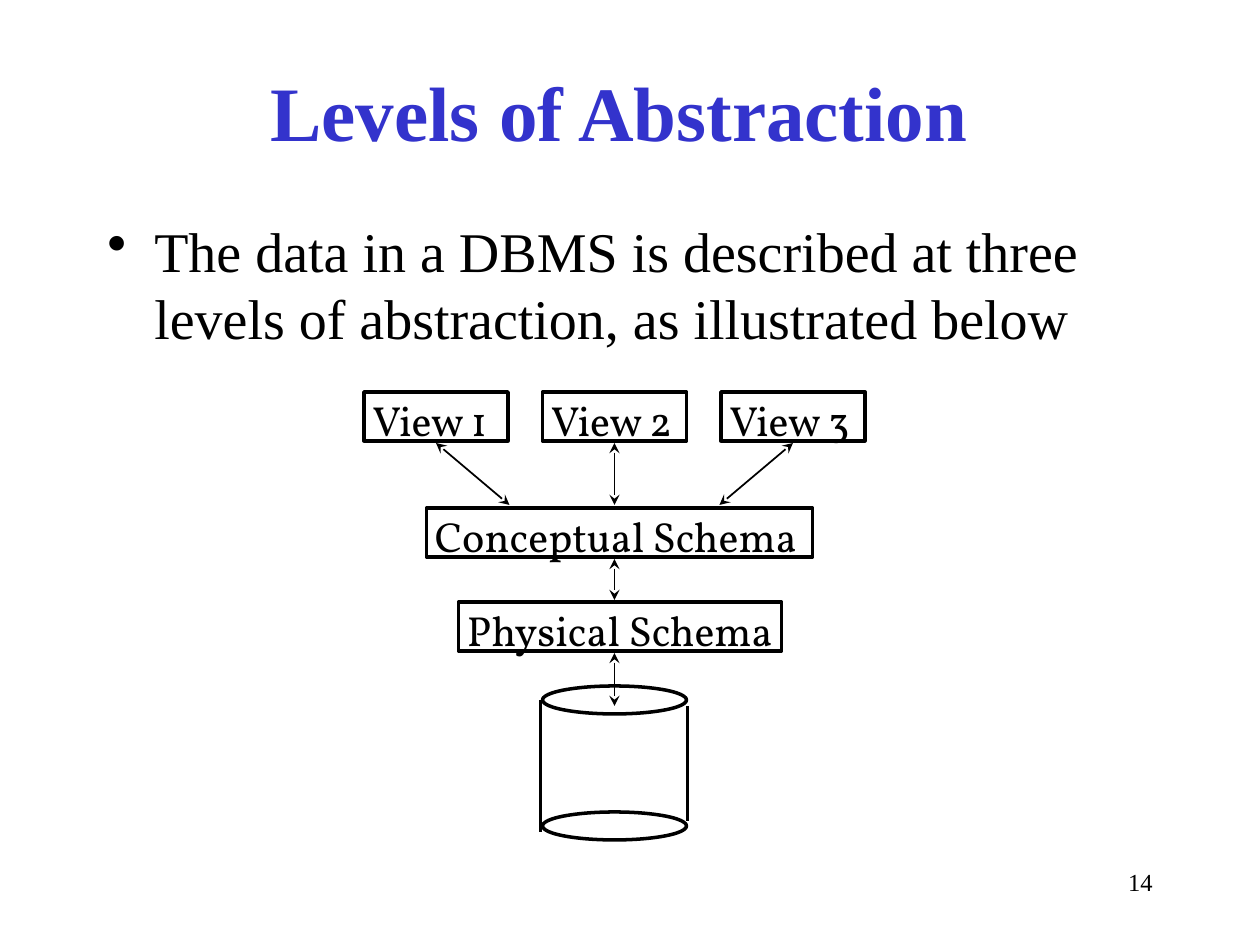
"""Build the Levels of Abstraction slide."""
import pptx
import pptx.dml.color
import pptx.enum.shapes
import pptx.enum.text
import pptx.oxml
import pptx.oxml.ns
import pptx.util
from lxml import etree

SCALE = 914400 // 126
COLORS = {"title": "3333CC", "ink": "000000"}
SERIF = "Times New Roman"
ALIGN = pptx.enum.text.PP_ALIGN
ANCHOR = pptx.enum.text.MSO_ANCHOR
SHAPE = pptx.enum.shapes.MSO_SHAPE
BOX_HEIGHT = 49


def emu(*pixels):
    return [pptx.util.Emu(round(value * SCALE)) for value in pixels]


def color(name):
    return pptx.dml.color.RGBColor.from_string(COLORS[name])


def add_child(parent, tag, **attributes):
    return etree.SubElement(parent, pptx.oxml.ns.qn(tag), attributes)


def add_text(slide, box, text, size, font=SERIF, ink="ink", bold=False,
             align=ALIGN.LEFT, anchor=ANCHOR.TOP, wrap=True):
    shape = slide.shapes.add_textbox(*emu(*box))
    frame = shape.text_frame
    frame.word_wrap = wrap
    frame.vertical_anchor = anchor
    if not wrap:
        frame.auto_size = pptx.enum.text.MSO_AUTO_SIZE.SHAPE_TO_FIT_TEXT
    paragraph = frame.paragraphs[0]
    paragraph.alignment = align
    run = paragraph.add_run()
    run.text = text
    run.font.name = font
    run.font.size = pptx.util.Pt(size)
    run.font.bold = bold
    run.font.color.rgb = color(ink)
    return paragraph


def add_outline(slide, kind, box):
    shape = slide.shapes.add_shape(kind, *emu(*box))
    shape.shadow.inherit = False
    shape.fill.background()
    shape.line.color.rgb = color("ink")
    shape.line.width = pptx.util.Pt(2)


def add_line(slide, start, end, width=2, arrows=False):
    connector = slide.shapes.add_connector(
        pptx.enum.shapes.MSO_CONNECTOR.STRAIGHT, *emu(*start, *end))
    connector.line.color.rgb = color("ink")
    connector.line.width = pptx.util.Pt(width)
    if arrows:
        line = connector.line._get_or_add_ln()
        for tag in ("a:headEnd", "a:tailEnd"):
            add_child(line, tag, type="stealth")
    add_child(connector._element.spPr, "a:effectLst")


def add_bullet(slide, box, text):
    paragraph = add_text(slide, box, text, 32)
    properties = paragraph._p.get_or_add_pPr()
    indent = emu(47)[0]
    properties.set("marL", str(indent))
    properties.set("indent", str(-indent))
    spacing = add_child(properties, "a:spcBef")
    add_child(spacing, "a:spcPct", val="20000")
    add_child(properties, "a:buChar", char="•")


def add_schema_box(slide, left, top, width, text, label_width):
    add_text(slide, (left - 4, top - 4, label_width, 63), text, 24,
             font="Vollkorn", wrap=False)
    add_outline(slide, SHAPE.RECTANGLE, (left, top, width, BOX_HEIGHT))


def add_database(slide, left, top, width, height):
    rim = 28
    for rim_top in (top, top + height - rim):
        add_outline(slide, SHAPE.OVAL, (left, rim_top, width, rim))
    add_line(slide, (left - 2, top + 14), (left - 2, top + 146))
    add_line(slide, (left + width + 1, top + 20), (left + width + 1, top + 135))


def add_diagram(slide, left, top, width, height):
    center = left + width / 2
    view_width, view_pitch = 144, 178.5
    conceptual_top, physical_top, database_top = top + 116, top + 210, top + 294
    for index in range(3):
        offset = index - 1
        view_center = center + offset * view_pitch
        add_schema_box(slide, view_center - view_width / 2, top, view_width,
                       f"View {index + 1}", 154)
        add_line(slide, (view_center, top + 51),
                 (center + offset * 105, conceptual_top - 3), 1, True)
    add_schema_box(slide, center - 188, conceptual_top, 386,
                   "Conceptual Schema", 392)
    add_schema_box(slide, center - 156, physical_top, 323,
                   "Physical Schema", 334)
    add_database(slide, center - view_width / 2, database_top, view_width,
                 height - 294)
    for start, end in ((conceptual_top + 51, physical_top - 2),
                       (physical_top + 51, database_top + 20)):
        add_line(slide, (center, start), (center, end), 1, True)


def build_slide(presentation):
    slide = presentation.slides.add_slide(presentation.slide_layouts[6])
    add_text(slide, (903, 861, 262, 63), "14", 14, align=ALIGN.RIGHT)
    add_text(slide, (84, 32, 1071, 157), "Levels of Abstraction", 44,
             ink="title", bold=True, align=ALIGN.CENTER, anchor=ANCHOR.MIDDLE)
    add_bullet(slide, (95, 210, 1071, 630),
               "The data in a DBMS is described at three levels of "
               "abstraction, as illustrated below")
    add_diagram(slide, 364, 392, 501, 448)


presentation = pptx.Presentation()
presentation.slide_width, presentation.slide_height = emu(1260, 945)
build_slide(presentation)
presentation.save("out.pptx")
